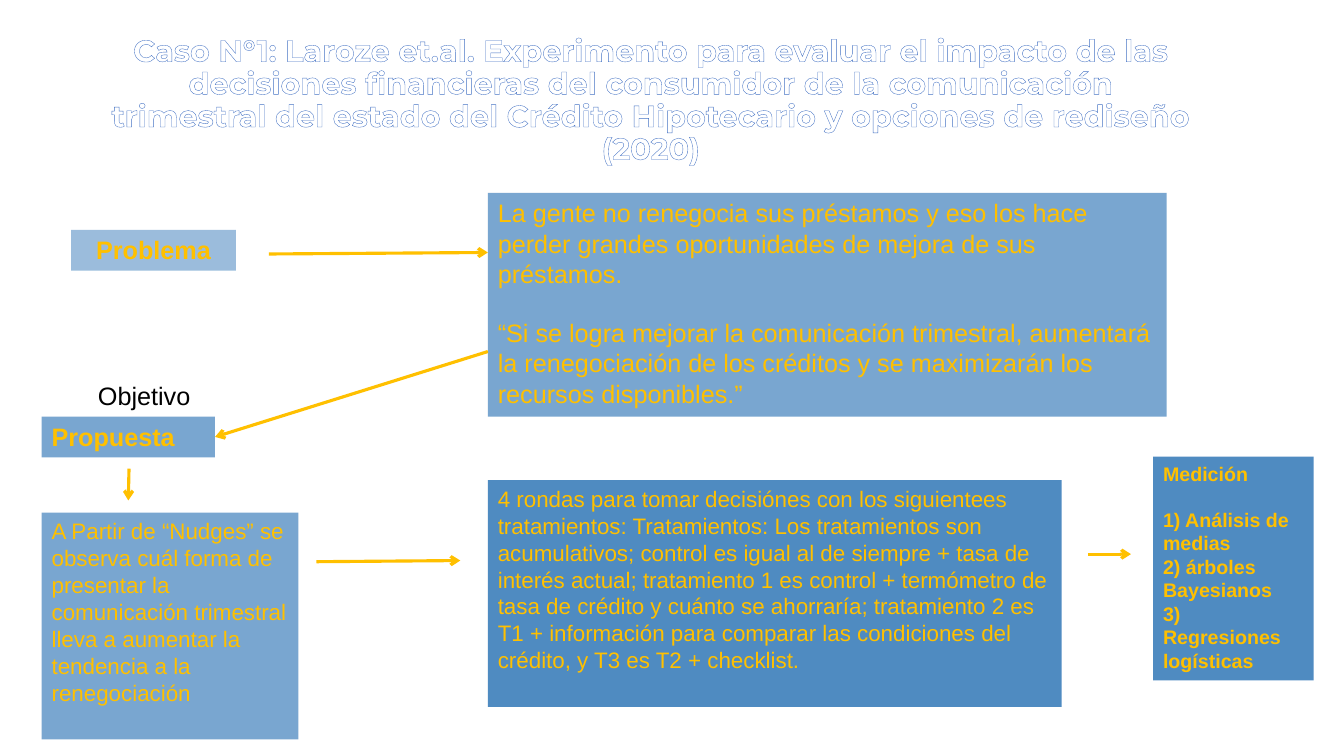
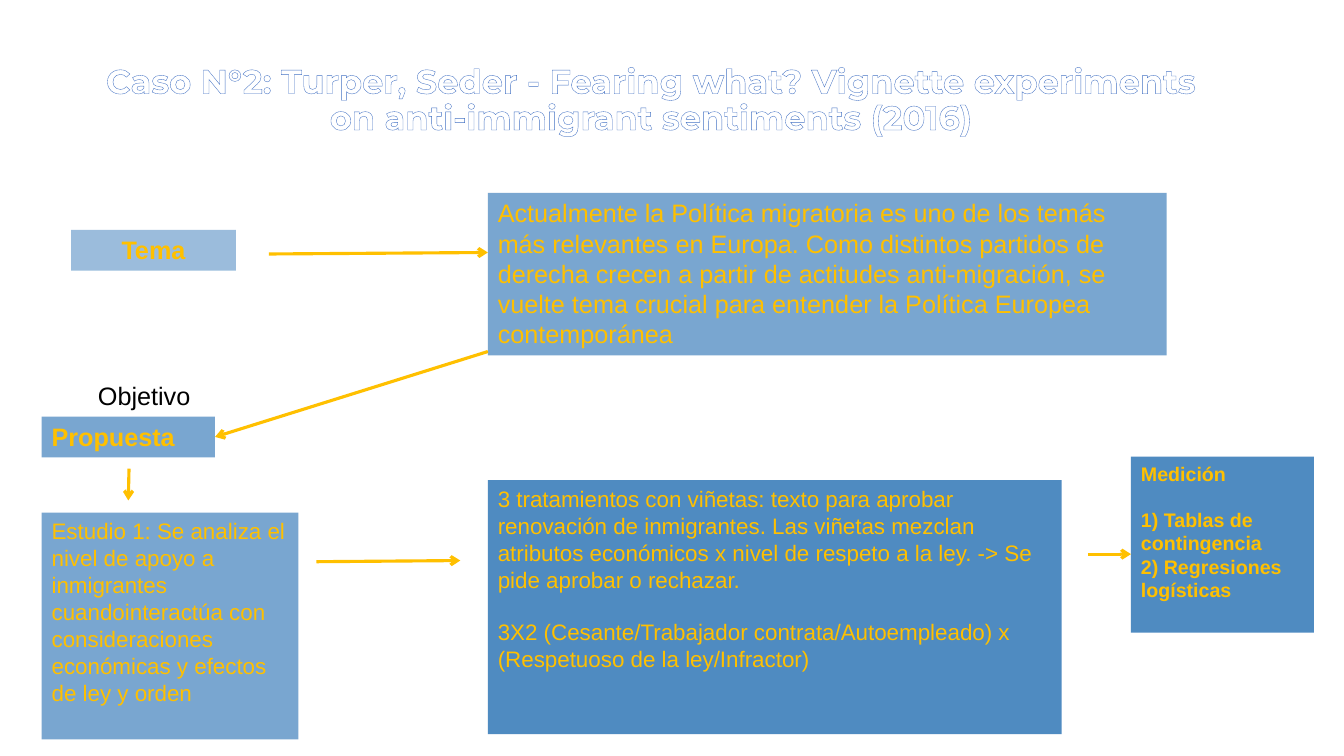
from dataclasses import dataclass

from lxml.etree import SubElement
from pptx import Presentation
from pptx.dml.color import RGBColor
from pptx.enum.shapes import MSO_CONNECTOR, MSO_SHAPE
from pptx.enum.text import MSO_ANCHOR, MSO_AUTO_SIZE, PP_ALIGN
from pptx.oxml import parse_xml
from pptx.oxml.ns import nsdecls, qn
from pptx.util import Inches, Pt

COLORS = {
    "panel": "2E75B6",
    "accent": "FFC000",
    "text": "000000",
    "title": "FFFFFF",
    "title_outline": "4472C4",
}
BODY_FONT, TITLE_FONT = "Arial", "Montserrat"
LIGHT, MEDIUM, STRONG = 48, 64, 84  # panel opacity in percent
LINE_HEIGHT = 1.15

SLIDE_W, SLIDE_H = Inches(13.33), Inches(7.5)
COL, ROW = SLIDE_W / 100, SLIDE_H / 100
LABEL_H = 5.4


@dataclass
class Box:
    """An area in columns and rows of a 100 x 100 slide grid."""
    left: float
    top: float
    width: float
    height: float

    def inner(self, x, y, width, height):
        return Box(self.left + x, self.top + y, width, height)

    def point(self, x, y):
        return round((self.left + x) * COL), round((self.top + y) * ROW)

    def frame(self):
        return (*self.point(0, 0), round(self.width * COL), round(self.height * ROW))


SLIDE_AREA = Box(0, 0, 100, 100)
TITLE_AREA = Box(5.3, 3.7, 86.25, 19.3)
TOPIC_AREA = Box(5.3, 25.5, 81.5, 29.6)
GOAL_AREA = Box(3.1, 49.7, 19.1, 48.1)
METHOD_AREA = Box(23.55, 60.4, 74.2, 36.7)


def rgb(name):
    return RGBColor.from_string(COLORS[name])


def style_run(run, size, color, font=BODY_FONT, bold=False):
    run.font.name = font
    run.font.size = Pt(size)
    run.font.bold = bold
    run.font.color.rgb = rgb(color)


def write_groups(frame, groups, size, color, bold=False, align=PP_ALIGN.LEFT):
    """Write groups of paragraphs, one line of space apart."""
    frame.word_wrap = True
    frame.auto_size = MSO_AUTO_SIZE.NONE
    frame.vertical_anchor = MSO_ANCHOR.TOP
    paragraph = frame.paragraphs[0]
    for g, group in enumerate(groups):
        for i, text in enumerate(group):
            if g or i:
                paragraph = frame.add_paragraph()
            if g and not i:
                paragraph.space_before = Pt(size * LINE_HEIGHT)
            paragraph.alignment = align
            run = paragraph.add_run()
            run.text = text
            style_run(run, size, color, bold=bold)


def add_panel(slide, box, groups, size, opacity, **text_style):
    panel = slide.shapes.add_shape(MSO_SHAPE.RECTANGLE, *box.frame())
    panel.shadow.inherit = False
    panel.fill.solid()
    panel.fill.fore_color.rgb = rgb("panel")
    panel.line.fill.background()
    fill_color = panel._element.spPr.find(qn("a:solidFill"))[0]
    SubElement(fill_color, qn("a:alpha"), val=str(opacity * 1000))
    write_groups(panel.text_frame, groups, size, "accent", **text_style)
    return panel


def add_arrow(slide, start, end):
    arrow = slide.shapes.add_connector(MSO_CONNECTOR.STRAIGHT, *start, *end)
    arrow.line.color.rgb = rgb("accent")
    arrow.line.width = Pt(2.25)
    properties = arrow._element.spPr
    SubElement(properties.find(qn("a:ln")), qn("a:tailEnd"), type="arrow")
    SubElement(properties, qn("a:effectLst"))
    return arrow


def add_title(slide, box, lines, size):
    title = slide.shapes.title
    title.left, title.top, title.width, title.height = box.frame()
    frame = title.text_frame
    frame.word_wrap = True
    frame.auto_size = MSO_AUTO_SIZE.NONE
    frame.vertical_anchor = MSO_ANCHOR.MIDDLE
    paragraph = frame.paragraphs[0]
    paragraph.alignment = PP_ALIGN.CENTER
    paragraph.line_spacing = 0.9
    for i, line in enumerate(lines):
        if i:
            paragraph.add_line_break()
        run = paragraph.add_run()
        run.text = line
        style_run(run, size, "title", TITLE_FONT, bold=True)
        run._r.get_or_add_rPr().insert(0, parse_xml(
            f'<a:ln {nsdecls("a")} w="{Pt(0.8)}"><a:solidFill>'
            f'<a:srgbClr val="{COLORS["title_outline"]}"/></a:solidFill></a:ln>'))


def add_topic(slide, box, label, statement, statement_h):
    """Label on the left, pointing to the statement on the right."""
    statement_x = 31
    add_panel(slide, box.inner(statement_x, 0, box.width - statement_x, statement_h),
              statement, 18, MEDIUM)
    add_panel(slide, box.inner(0, 4.9, 12.25, LABEL_H), [[label]], 18, LIGHT,
              bold=True, align=PP_ALIGN.CENTER)
    add_arrow(slide, box.point(14.7, 8.1), box.point(statement_x, 7.9))


def add_goal(slide, box, proposal):
    """Goal heading and proposal label above the proposal; returns the label."""
    heading = slide.shapes.add_textbox(*box.inner(3.45, 0, 11.9, LABEL_H).frame())
    write_groups(heading.text_frame, [["Objetivo"]], 18, "text")
    label = add_panel(slide, box.inner(0, LABEL_H, 12.9, LABEL_H), [["Propuesta"]],
                      18, MEDIUM, bold=True)
    add_panel(slide, box.inner(0, 18.1, box.width, 30), proposal, 16, MEDIUM)
    add_arrow(slide, box.point(6.5, 12.3), box.point(6.45, 16.5))
    return label


def add_method(slide, box, treatments, treatments_h, measures, measures_size):
    """Treatments, followed by the measurement at the right edge."""
    add_arrow(slide, box.point(0, 13.9), box.point(10.7, 13.75))
    add_panel(slide, box.inner(12.75, 3.1, 42.7, treatments_h), treatments, 16, STRONG)
    width, height = measures_size
    add_panel(slide, box.inner(box.width - width, 0, width, height),
              [["Medición"], measures], 14, STRONG, bold=True)
    add_arrow(slide, box.point(57.4, 12.9), box.point(60.6, 12.9))


def add_case(prs, title, topic, proposal, method):
    slide = prs.slides.add_slide(prs.slide_layouts[5])
    add_title(slide, TITLE_AREA, **title)
    add_topic(slide, TOPIC_AREA, **topic)
    proposal_label = add_goal(slide, GOAL_AREA, proposal)
    add_method(slide, METHOD_AREA, **method)
    link = add_arrow(slide, SLIDE_AREA.point(36.3, 46.5), SLIDE_AREA.point(16, 57.8))
    link.end_connect(proposal_label, 3)


CASES = [
    {
        "title": {
            "lines": [
                "Caso N°1: Laroze et.al. Experimento para evaluar el impacto de las "
                "decisiones financieras del consumidor de la comunicación",
                "trimestral del estado del Crédito Hipotecario y opciones de rediseño (2020)",
            ],
            "size": 21.6,
        },
        "topic": {
            "label": "Problema",
            "statement": [
                ["La gente no renegocia sus préstamos y eso los hace perder grandes "
                 "oportunidades de mejora de sus préstamos."],
                ["“Si se logra mejorar la comunicación trimestral, aumentará la "
                 "renegociación de los créditos y se maximizarán los recursos "
                 "disponibles.”"],
            ],
            "statement_h": 29.6,
        },
        "proposal": [[
            "A Partir de “Nudges” se observa cuál forma de presentar la comunicación "
            "trimestral lleva a aumentar la tendencia a la renegociación"]],
        "method": {
            "treatments": [[
                "4 rondas para tomar decisiónes con los siguientees tratamientos: "
                "Tratamientos: Los tratamientos son acumulativos; control es igual al "
                "de siempre + tasa de interés actual; tratamiento 1 es control + "
                "termómetro de tasa de crédito y cuánto se ahorraría; tratamiento 2 es "
                "T1 + información para comparar las condiciones del crédito, y T3 es "
                "T2 + checklist."]],
            "treatments_h": 30,
            "measures": ["1) Análisis de medias", "2) árboles Bayesianos",
                         "3) Regresiones logísticas"],
            "measures_size": (11.95, 29.6),
        },
    },
    {
        "title": {
            "lines": ["Caso N°2: Turper, Seder - Fearing what? Vignette experiments on "
                      "anti-immigrant sentiments (2016)"],
            "size": 24,
        },
        "topic": {
            "label": "Tema",
            "statement": [[
                "Actualmente la Política migratoria es uno de los temás más relevantes "
                "en Europa. Como distintos partidos de derecha crecen a partir de "
                "actitudes anti-migración, se vuelte tema crucial para entender la "
                "Política Europea contemporánea"]],
            "statement_h": 21.5,
        },
        "proposal": [[
            "Estudio 1: Se analiza el nivel de apoyo a inmigrantes cuandointeractúa con "
            "consideraciones económicas y efectos de ley y orden"]],
        "method": {
            "treatments": [
                ["3 tratamientos con viñetas: texto para aprobar renovación de "
                 "inmigrantes. Las viñetas mezclan atributos económicos x nivel de "
                 "respeto a la ley. -> Se pide aprobar o rechazar."],
                ["3X2 (Cesante/Trabajador contrata/Autoempleado) x (Respetuoso de la "
                 "ley/Infractor)"],
            ],
            "treatments_h": 33.6,
            "measures": ["1) Tablas de contingencia", "2) Regresiones logísticas"],
            "measures_size": (13.6, 23.3),
        },
    },
]


def main():
    prs = Presentation()
    prs.slide_width, prs.slide_height = SLIDE_W, SLIDE_H
    for case in CASES:
        add_case(prs, **case)
    prs.save("out.pptx")


if __name__ == "__main__":
    main()
